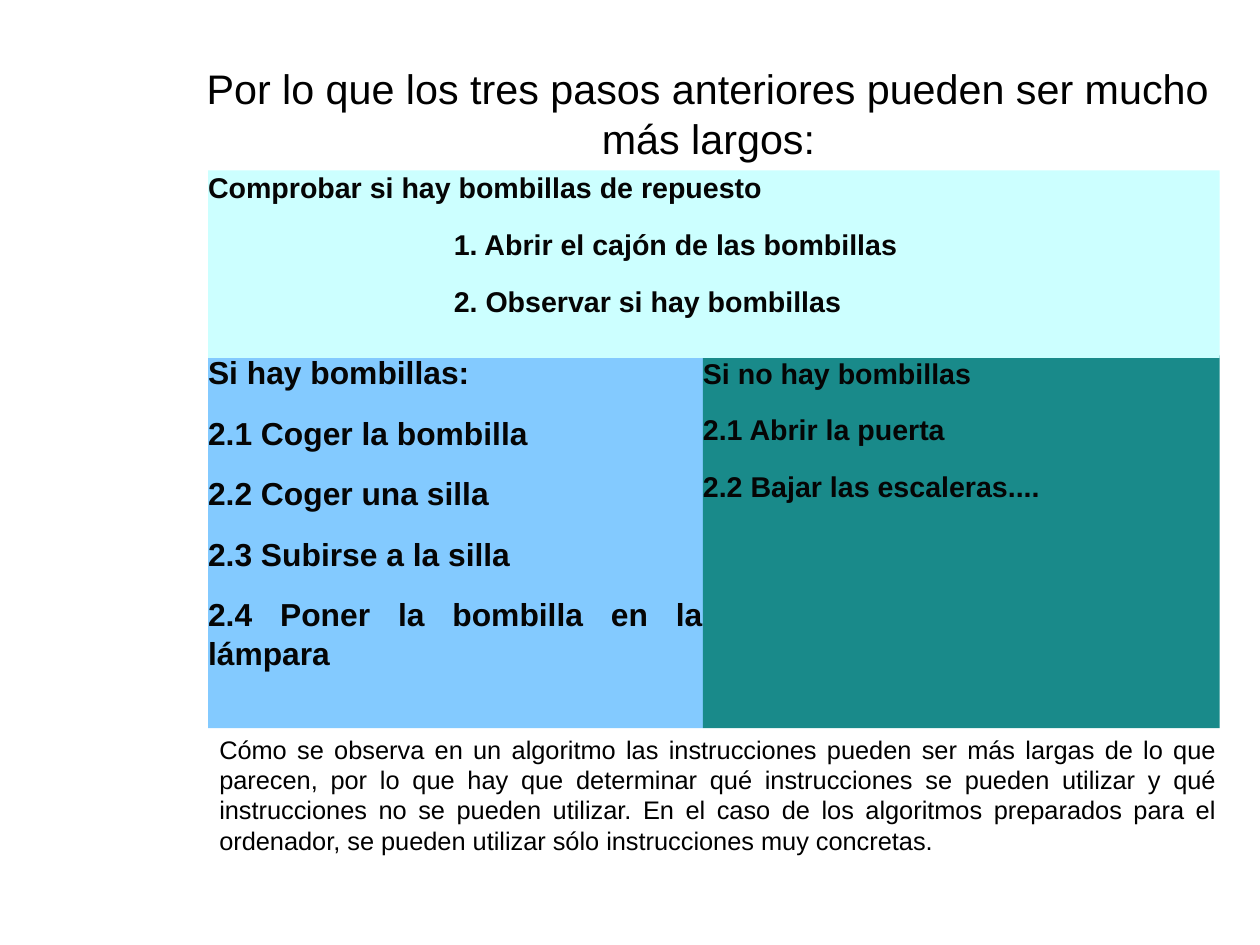
from dataclasses import dataclass

from lxml import etree
from pptx import Presentation
from pptx.dml.color import RGBColor
from pptx.enum.text import MSO_ANCHOR, MSO_AUTO_SIZE, PP_ALIGN
from pptx.oxml.ns import qn
from pptx.util import Inches, Pt

TOP, MIDDLE = MSO_ANCHOR.TOP, MSO_ANCHOR.MIDDLE
LEFT, CENTER, JUSTIFY = PP_ALIGN.LEFT, PP_ALIGN.CENTER, PP_ALIGN.JUSTIFY
NO_AUTOFIT = MSO_AUTO_SIZE.NONE
COMPARISON_LAYOUT = 4
CM_PER_INCH = 2.54


@dataclass(frozen=True)
class Theme:
    font: str = "Arial"
    black: str = "000000"
    panel_text: str = "050505"
    pale_cyan: str = "CCFFFF"
    sky_blue: str = "83CAFF"
    teal: str = "198A8A"
    title_size: int = 26
    large_size: int = 20
    panel_size: int = 18
    note_size: int = 16
    panel_gap: float = 14.1


THEME = Theme()


def place(shape, box):
    """Move a shape to a (left, top, width, height) box in inches."""
    for name, length in zip(("left", "top", "width", "height"), box):
        setattr(shape, name, Inches(length))


def set_frame(shape, anchor=TOP, margins=(0, 0)):
    horizontal, vertical = (Inches(margin) for margin in margins)
    frame_format = {
        "word_wrap": True, "auto_size": NO_AUTOFIT, "vertical_anchor": anchor,
        "margin_left": horizontal, "margin_right": horizontal,
        "margin_top": vertical, "margin_bottom": vertical,
    }
    for name, value in frame_format.items():
        setattr(shape.text_frame, name, value)


def write_paragraph(paragraph, text, size, color, align, bold=False, gap=0, indent=0):
    paragraph_format = {
        "alignment": align, "space_before": Pt(0),
        "space_after": Pt(gap), "line_spacing": 1.0,
    }
    for name, value in paragraph_format.items():
        setattr(paragraph, name, value)
    # Plain paragraph without the template's bullet and hanging indent
    properties = paragraph._p.get_or_add_pPr()
    properties.set("marL", str(Inches(indent)))
    properties.set("indent", "0")
    etree.SubElement(properties, qn("a:buNone"))

    run = paragraph.add_run()
    run.text = text
    for name, value in {"name": THEME.font, "size": Pt(size), "bold": bold}.items():
        setattr(run.font, name, value)
    run.font.color.rgb = RGBColor.from_string(color)


def fill_title(shape, box, text):
    place(shape, box)
    set_frame(shape, MIDDLE)
    write_paragraph(shape.text_frame.paragraphs[0], text,
                    THEME.title_size, THEME.black, CENTER)


def fill_panel(shape, box, fill, size, lines, align=JUSTIFY, item_indent=0):
    """Coloured panel: a heading followed by its steps."""
    place(shape, box)
    set_frame(shape)
    shape.fill.solid()
    shape.fill.fore_color.rgb = RGBColor.from_string(fill)
    frame = shape.text_frame
    for number, line in enumerate(lines):
        paragraph = frame.add_paragraph() if number else frame.paragraphs[0]
        write_paragraph(paragraph, line, size, THEME.panel_text, align, bold=True,
                        gap=THEME.panel_gap, indent=item_indent if number else 0)


def add_note(slide, box, text):
    note = slide.shapes.add_textbox(*(Inches(length) for length in box))
    set_frame(note, margins=(0.1, 0.05))
    write_paragraph(note.text_frame.paragraphs[0], text,
                    THEME.note_size, THEME.black, JUSTIFY)


def build_steps_slide(presentation):
    slide = presentation.slides.add_slide(presentation.slide_layouts[COMPARISON_LAYOUT])
    title, with_bulbs, without_bulbs, check, spare = slide.placeholders
    spare.element.getparent().remove(spare.element)

    left, middle, right, bottom = 1.82, 6.15, 10.67, 6.37

    # Title
    fill_title(title, (1.77, 0.31, 8.86, 1.36),
               "Por lo que los tres pasos anteriores pueden ser mucho más largos:")

    # The two outcomes
    fill_panel(with_bulbs, (left, 3.09, middle - left, bottom - 3.09),
               THEME.sky_blue, THEME.large_size, [
                   "Si hay bombillas:",
                   "2.1 Coger la bombilla",
                   "2.2 Coger una silla",
                   "2.3 Subirse a la silla",
                   "2.4 Poner la bombilla en la lámpara",
               ])
    fill_panel(without_bulbs, (middle, 3.11, right - middle, bottom - 3.11),
               THEME.teal, THEME.panel_size, [
                   "Si no hay bombillas",
                   "2.1 Abrir la puerta",
                   "2.2 Bajar las escaleras....",
               ])

    # The check that comes first
    fill_panel(check, (left, 1.49, right - left, 1.64),
               THEME.pale_cyan, THEME.panel_size, [
                   "Comprobar si hay bombillas de repuesto",
                   "1. Abrir el cajón de las bombillas",
                   "2. Observar si hay bombillas",
               ], align=LEFT, item_indent=2.15)

    # Closing note
    add_note(slide, (left, bottom, 8.92, 1.1),
             "Cómo se observa en un algoritmo las instrucciones pueden ser más largas "
             "de lo que parecen, por lo que hay que determinar qué instrucciones se "
             "pueden utilizar y qué instrucciones no se pueden utilizar. En el caso de "
             "los algoritmos preparados para el ordenador, se pueden utilizar sólo "
             "instrucciones muy concretas.")


def main():
    presentation = Presentation()
    # Page of 28 by 21 centimetres
    presentation.slide_width = Inches(28 / CM_PER_INCH)
    presentation.slide_height = Inches(21 / CM_PER_INCH)
    build_steps_slide(presentation)
    presentation.save("out.pptx")


if __name__ == "__main__":
    main()
